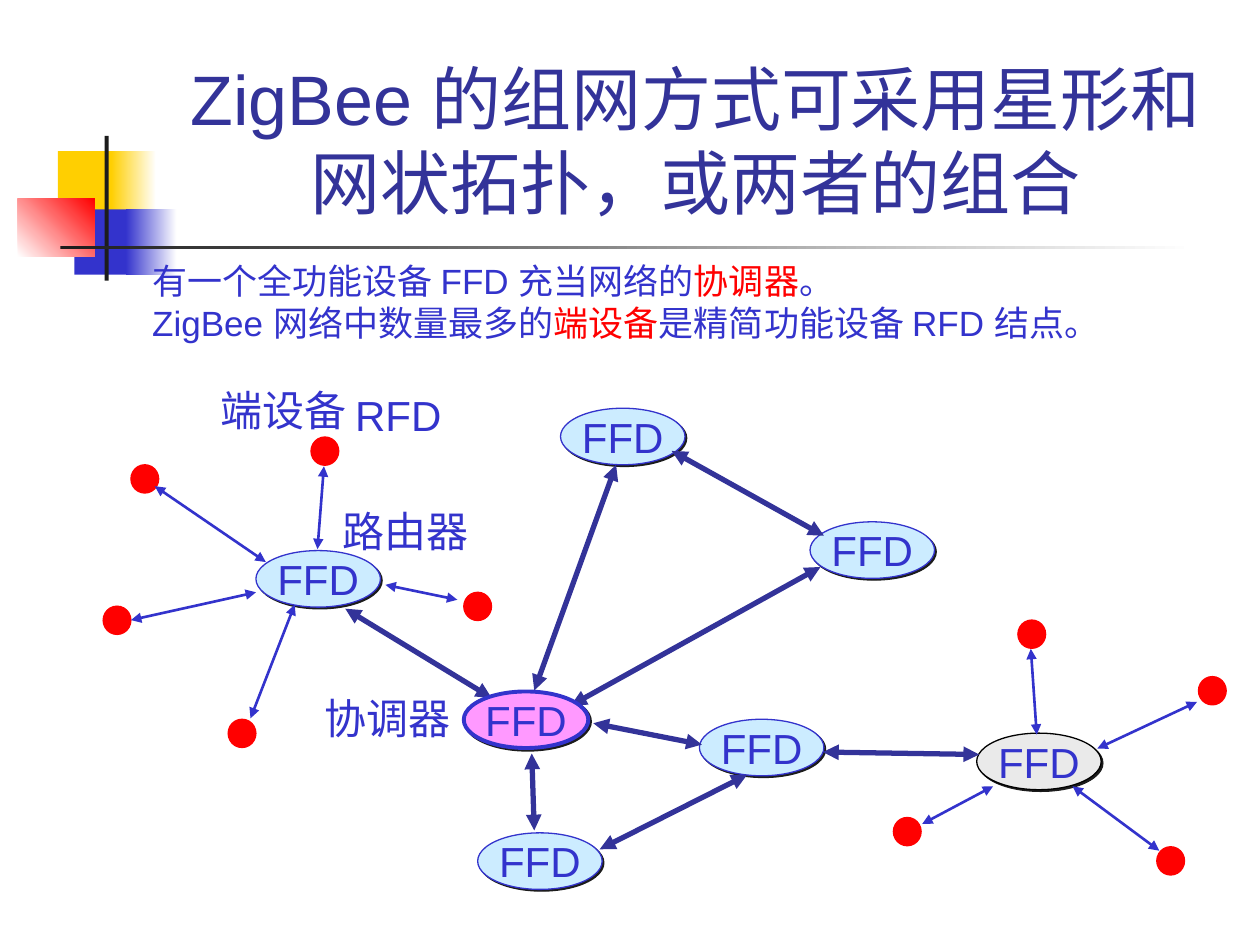
from lxml import etree
from pptx import Presentation
from pptx.dml.color import RGBColor
from pptx.enum.shapes import MSO_CONNECTOR, MSO_SHAPE
from pptx.enum.text import MSO_ANCHOR, MSO_AUTO_SIZE, PP_ALIGN
from pptx.oxml.ns import qn
from pptx.util import Cm, Pt

RECT, OVAL = MSO_SHAPE.RECTANGLE, MSO_SHAPE.OVAL
LINE = MSO_CONNECTOR.STRAIGHT
MIDDLE, BOTTOM = MSO_ANCHOR.MIDDLE, MSO_ANCHOR.BOTTOM
FIXED, GROW = MSO_AUTO_SIZE.NONE, MSO_AUTO_SIZE.SHAPE_TO_FIT_TEXT
LEFT, CENTER = PP_ALIGN.LEFT, PP_ALIGN.CENTER

BLUE, NAVY, RED, DARK = "3333CC", "333399", "FF0000", "1C1C1C"
GOLD, WHITE, SKY, PINK, GRAY = "FFCF01", "FFFFFF", "CCECFF", "FF99FF", "EAEAEA"
NODE = (2.51, 1.14)
DOT = (0.56, 0.57)


def rgb(code):
    return RGBColor.from_string(code)


def put(item, values):
    """Set every attribute named in values."""
    for name, value in values.items():
        setattr(item, name, value)


def place(box, x, y):
    return Cm(box[0] + x), Cm(box[1] + y)


def write(par, text, size, color=BLUE, font="Arial"):
    run = par.add_run()
    run.text = text
    put(run.font, {"size": Pt(size), "name": font})
    run.font.color.rgb = rgb(color)


def shape(slide, kind, box, x, y, size, fill, line=None, width=0.75):
    item = slide.shapes.add_shape(kind, *place(box, x, y), *map(Cm, size))
    item.shadow.inherit = False
    item.fill.solid()
    item.fill.fore_color.rgb = rgb(fill)
    if line:
        item.line.color.rgb = rgb(line)
        item.line.width = Pt(width)
    else:
        item.line.fill.background()
    return item


def fade(item, start, end, angle=0):
    item.fill.gradient()
    item.fill.gradient_angle = angle
    for stop, color in zip(item.fill.gradient_stops, (start, end)):
        stop.color.rgb = rgb(color)


def node(slide, box, x, y, fill=SKY, line=BLUE, width=0.75):
    item = shape(slide, OVAL, box, x, y, NODE, fill, line, width)
    cast = etree.SubElement(item._element.spPr.find(qn("a:effectLst")),
                            qn("a:outerShdw"), dist="17780", dir="2700000")
    etree.SubElement(cast, qn("a:srgbClr"), val=DARK)
    frame = item.text_frame
    put(frame, {"word_wrap": False, "vertical_anchor": MIDDLE})
    frame.paragraphs[0].alignment = CENTER
    write(frame.paragraphs[0], "FFD", 24)


def link(slide, box, ends, color, width):
    """Draw a line with an arrowhead at both ends."""
    x1, y1, x2, y2 = ends
    item = slide.shapes.add_connector(LINE, *place(box, x1, y1), *place(box, x2, y2))
    item.line.color.rgb = rgb(color)
    item.line.width = Pt(width)
    for end in ("a:headEnd", "a:tailEnd"):
        etree.SubElement(item.line._get_or_add_ln(), qn(end), type="triangle")
    etree.SubElement(item._element.spPr, qn("a:effectLst"))


def label(slide, box, x, y, size, lines, points=24):
    """Each line is a list of (text, color, font) runs."""
    item = slide.shapes.add_textbox(*place(box, x, y), *map(Cm, size))
    frame = item.text_frame
    put(frame, {"word_wrap": False, "auto_size": GROW})
    for i, runs in enumerate(lines):
        par = frame.add_paragraph() if i else frame.paragraphs[0]
        par.alignment = LEFT
        for run in runs:
            write(par, run[0], points, *run[1:])


def tag(slide, box, x, y, text, width=3.05):
    label(slide, box, x, y, (width, 1.27), [[(text,)]])


def motif(slide, box):
    shape(slide, RECT, box, 0.81, 0.31, (1.22, 1.32), GOLD)
    fade(shape(slide, RECT, box, 1.88, 0.31, (0.91, 1.32), GOLD), GOLD, WHITE)
    shape(slide, RECT, box, 1.14, 1.48, (1.17, 1.32), BLUE)
    fade(shape(slide, RECT, box, 2.18, 1.48, (1.02, 1.32), BLUE), BLUE, WHITE)
    fade(shape(slide, RECT, box, 0, 1.27, (1.55, 1.17), RED), WHITE, RED, 45)
    shape(slide, RECT, box, 1.75, 0, (0.08, 2.92), DARK)
    fade(shape(slide, RECT, box, 0.86, 2.21, (22.86, 0.08), DARK), DARK, WHITE)


def title(slide, box):
    item = slide.shapes.title
    put(item, dict(zip(("left", "top", "width", "height"), map(Cm, box))))
    frame = item.text_frame
    put(frame, {"word_wrap": True, "auto_size": FIXED, "vertical_anchor": BOTTOM})
    frame.paragraphs[0].alignment = CENTER
    write(frame.paragraphs[0], "ZigBee 的组网方式可采用星形和网状拓扑，或两者的组合", 40, NAVY)


def intro(slide, box):
    label(slide, box, 0, 0, box[2:], [
        [("有一个全功能设备 FFD 充当",), ("网络的", BLUE, "Karla"),
         ("协调器", RED, "Karla"), ("。", BLUE, "Karla")],
        [("ZigBee 网络中数量最多的",), ("端设备", RED),
         ("是精简功能设备 RFD 结点。",)],
    ], 20)


def star(slide, box, hub, dots, links):
    """Draw a hub node with its end devices."""
    for x, y in dots:
        shape(slide, OVAL, box, x, y, DOT, RED, RED)
    node(slide, box, *hub)
    for ends in links:
        link(slide, box, ends, BLUE, 1.5)


def mesh(slide, box):
    for x, y in ((5, 0), (10.03, 2.29), (7.8, 6.27), (3.33, 8.56)):
        node(slide, box, x, y)
    for ends in ((6.12, 1.14, 4.47, 5.69), (0.66, 4.04, 3.61, 5.84),
                 (7.24, 0.86, 10.31, 2.57), (10.24, 3.2, 5.21, 5.99),
                 (4.42, 6.96, 4.47, 8.51), (7.85, 6.78, 5.66, 6.35),
                 (13.44, 6.98, 10.29, 6.93), (8.76, 7.39, 5.79, 8.89)):
        link(slide, box, ends, NAVY, 3)
    node(slide, box, 3.05, 5.71, PINK, BLUE, 2.25)
    tag(slide, box, 0, 5.61, "协调器")


def main():
    deck = Presentation()
    put(deck, {"slide_width": Cm(25.4), "slide_height": Cm(19.05)})
    slide = deck.slides.add_slide(deck.slide_layouts[5])
    motif(slide, (0.36, 2.74))
    title(slide, (3.2, 0.58, 21.64, 4.06))

    west = (2.08, 7.62)
    star(slide, west, (3.08, 3.48),
         ((4.19, 1.19), (0.56, 1.75), (0, 4.6), (2.52, 6.88), (7.27, 4.32)),
         ((1.04, 2.18, 3.28, 3.71), (5.69, 4.17, 7.14, 4.47),
          (4.45, 1.78, 4.32, 3.45), (0.56, 4.88, 3.08, 4.32),
          (3.86, 4.57, 2.97, 6.86)))
    tag(slide, west, 4.83, 0.1, "RFD", 2.24)
    tag(slide, west, 2.11, 0, "端设备")
    tag(slide, west, 4.57, 2.44, "路由器")

    star(slide, (18.01, 12.5), (1.68, 2.28, GRAY, "000000"),
         ((5.31, 4.57), (0, 3.98), (6.15, 1.14), (2.51, 0)),
         ((6.12, 1.65, 4.11, 2.59), (2.77, 0.58, 2.89, 2.31),
          (3.61, 3.35, 5.36, 4.65), (2.01, 3.35, 0.58, 4.11)))
    mesh(slide, (6.3, 8.23))
    intro(slide, (2.82, 5.11, 20.65, 1.96))
    deck.save("out.pptx")


if __name__ == "__main__":
    main()
